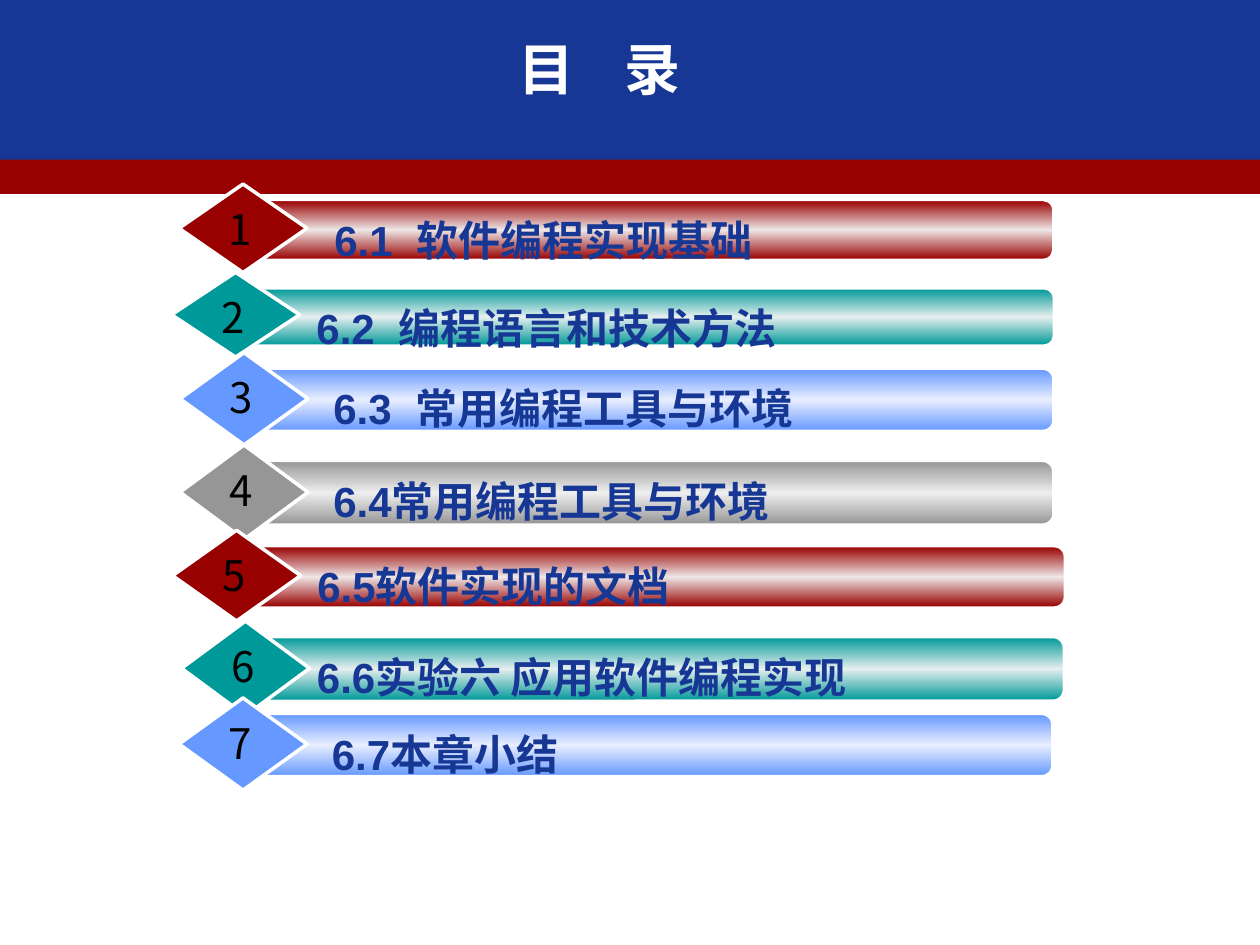
from copy import deepcopy
from typing import NamedTuple

from lxml import etree
from pptx import Presentation
from pptx import util as u
from pptx.dml.color import RGBColor
from pptx.enum import shapes, text
from pptx.oxml import ns

HUES = {
    "navy": "163794", "red": "990000", "teal": "009999", "blue": "6699FF",
    "gray": "969696", "white": "FFFFFF", "black": "000000",
}
GLOW = {"red": "EEE6E6", "teal": "E6EEEE", "blue": "E9EEFF", "gray": "EEEEEE"}
HAN = "Noto Sans CJK SC"


class Item(NamedTuple):
    """One entry: bar box and label start in centimetres, hue and words."""
    x: float
    y: float
    w: float
    h: float
    start: float
    hue: str
    label: str


ITEMS = [
    Item(5.03, 4.04, 16.2, 1.19, 6.74, "red", "6.1 软件编程实现基础"),
    Item(4.88, 5.82, 16.36, 1.14, 6.38, "teal", "6.2 编程语言和技术方法"),
    Item(5.05, 7.44, 16.18, 1.24, 6.72, "blue", "6.3 常用编程工具与环境"),
    Item(5.05, 9.3, 16.18, 1.27, 6.72, "gray", "6.4常用编程工具与环境"),
    Item(4.9, 11.02, 16.56, 1.22, 6.4, "red", "6.5软件实现的文档"),
    Item(5.08, 12.85, 16.36, 1.27, 6.39, "teal", "6.6实验六 应用软件编程实现"),
    Item(5.03, 14.4, 16.18, 1.24, 6.69, "blue", "6.7本章小结"),
]


def tint(code: str) -> RGBColor:
    """Turn a hex string into a colour."""
    return RGBColor.from_string(code)


def form(slide, kind, x: float, y: float, w: float, h: float, hue: str, edge: float = 0):
    """Draw a filled preset shape with an optional white edge."""
    shape = slide.shapes.add_shape(kind, u.Cm(x), u.Cm(y), u.Cm(w), u.Cm(h))
    shape.shadow.inherit = False
    shape.fill.solid()
    shape.fill.fore_color.rgb = tint(HUES[hue])
    if edge:
        shape.line.color.rgb = tint(HUES["white"])
        shape.line.width = u.Pt(edge)
    else:
        shape.line.fill.background()
    return shape


def shine(shape, hue: str) -> None:
    """Fill a shape with a vertical gradient that is light in the middle."""
    fill = shape.fill
    fill.gradient()
    fill.gradient_angle = 90
    first = shape._element.spPr.find(".//" + ns.qn("a:gs"))
    first.addnext(deepcopy(first))
    codes = HUES[hue], GLOW[hue], HUES[hue]
    for stop, code, place in zip(fill.gradient_stops, codes, (0, 0.5, 1)):
        stop.color.rgb = tint(code)
        stop.position = place


def write(slide, words: str, x: float, y: float, w: float, h: float, *, size=24,
          face=HAN, hue="black", bold=False, align=text.PP_ALIGN.CENTER,
          gap: float = 0) -> None:
    """Write a line of text, with the first space widened by gap points."""
    box = slide.shapes.add_textbox(u.Cm(x), u.Cm(y), u.Cm(w), u.Cm(h))
    frame = box.text_frame
    frame.word_wrap = True
    frame.margin_left = frame.margin_right = 0
    frame.vertical_anchor = text.MSO_ANCHOR.MIDDLE
    para = frame.paragraphs[0]
    para.alignment = align
    for part in words.partition(" ") if gap else [words]:
        if not part:
            continue
        run = para.add_run()
        run.text = part
        font = run.font
        font.name, font.size, font.bold = face, u.Pt(size), bold
        font.color.rgb = tint(HUES[hue])
        props = run._r.get_or_add_rPr()
        etree.SubElement(props, ns.qn("a:ea")).set("typeface", HAN)
        if part == " ":
            props.set("spc", str(round(gap * 100)))


def entry(slide, rank: int, item: Item) -> None:
    """Draw one entry with its bar, diamond, label and number."""
    kinds = shapes.MSO_SHAPE
    bar = form(slide, kinds.ROUNDED_RECTANGLE, *item[:4], item.hue, 1)
    bar.adjustments[0] = 0.167
    shine(bar, item.hue)
    left, wide = item.x - 1.42, 2.58
    form(slide, kinds.DIAMOND, left, item.y - 0.33, wide, item.h * 1.5, item.hue, 2)
    write(slide, item.label, item.start, item.y + 0.15, 14, 1.27, face="Arial",
          hue="navy", bold=True, align=text.PP_ALIGN.LEFT,
          gap=6.7 if rank < 4 else 0)
    write(slide, str(rank), left - 0.05, item.y - 0.07, wide, 1.27)


def main() -> None:
    """Build the contents slide."""
    deck = Presentation()
    deck.slide_width, deck.slide_height = u.Cm(25.4), u.Cm(19.05)
    slide = deck.slides.add_slide(deck.slide_layouts[6])
    rect = shapes.MSO_SHAPE.RECTANGLE
    form(slide, rect, 0, 0, 25.4, 3.28, "navy")
    form(slide, rect, 0, 3.22, 25.4, 0.69, "red")
    write(slide, "目 录", 9.09, 0.64, 6, 1.47, size=32, face="DejaVu Sans",
          hue="white", bold=True, gap=21.5)
    for rank, item in enumerate(ITEMS, 1):
        entry(slide, rank, item)
    deck.save("out.pptx")


if __name__ == "__main__":
    main()
